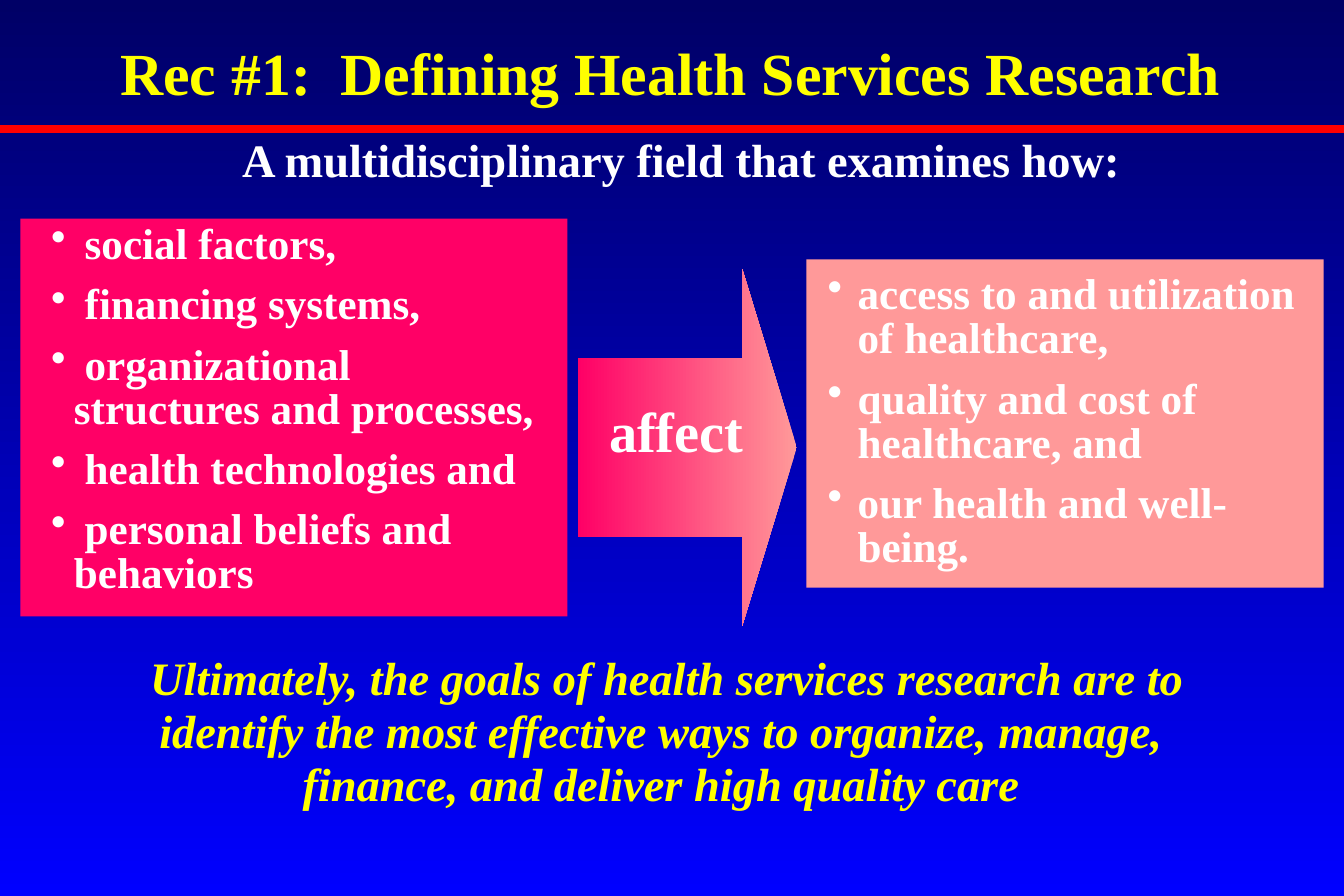
"""Build a slide that defines health services research."""
from dataclasses import dataclass

from lxml import etree
from pptx import Presentation
from pptx.dml.color import RGBColor
from pptx.enum.shapes import MSO_CONNECTOR, MSO_SHAPE
from pptx.enum.text import PP_ALIGN
from pptx.oxml.ns import qn
from pptx.util import Inches, Pt

RECT, ARROW = MSO_SHAPE.RECTANGLE, MSO_SHAPE.RIGHT_ARROW
LINE = MSO_CONNECTOR.STRAIGHT
LEFT, CENTER = PP_ALIGN.LEFT, PP_ALIGN.CENTER


@dataclass(frozen=True)
class Theme:
    font: str = "Times New Roman"
    navy: str = "000066"
    blue: str = "0000FF"
    pink: str = "FF0066"
    rose: str = "FF9999"
    red: str = "FF0000"
    white: str = "FFFFFF"
    yellow: str = "FFFF00"
    black: str = "000000"
    title: int = 36
    verb: int = 34
    body: int = 28
    item: int = 26


THEME = Theme()


@dataclass(frozen=True)
class Block:
    box: tuple[float, float, float, float]
    colors: tuple[str, ...]
    kind: int = RECT
    angle: int = 0


@dataclass(frozen=True)
class Label:
    box: tuple[float, float, float, float]
    lines: tuple[str, ...]
    size: int
    color: str = THEME.white
    align: int = CENTER
    pitch: float = 1.0
    gap: float = 0
    indent: float = 0
    italic: bool = False
    shadow: bool = True


BLOCKS = (
    Block((0.17, 1.83, 4.58, 3.33), (THEME.pink,)),
    Block((6.75, 2.17, 4.33, 2.75), (THEME.rose,)),
    Block((4.84, 2.25, 1.83, 2.99), (THEME.rose, THEME.pink), ARROW, 180),
)
LABELS = (
    Label((0.98, 1.08, 9.44, 0.58),
          ("A multidisciplinary field that examines how:",),
          THEME.body, pitch=0.95, shadow=False),
    Label((0.22, 0.25, 10.66, 0.7),
          (" Rec #1:  Defining Health Services Research",),
          THEME.title, THEME.yellow, shadow=False),
    Label((0.08, 5.42, 11, 1.43),
          ("Ultimately, the goals of health services research are to",
           "identify the most effective ways to organize, manage, ",
           "finance, and deliver high quality care "),
          THEME.body, THEME.yellow, pitch=0.95, italic=True),
    Label((6.83, 2.25, 4.25, 2.84),
          ("access to and utilization of healthcare,",
           "quality and cost of healthcare, and",
           "our health and well-being."),
          THEME.item, align=LEFT, pitch=0.85, gap=9.8, indent=0.25),
    Label((0.33, 1.83, 4.58, 3.22),
          (" social factors,",
           " financing systems,",
           " organizational\vstructures and processes,",
           " health technologies and",
           " personal beliefs and behaviors"),
          THEME.item, align=LEFT, pitch=0.85, gap=9.8, indent=0.19),
    Label((5, 3.33, 1.7, 0.61), ("affect",), THEME.verb,
          align=LEFT, pitch=0.9),
)


def rgb(code: str) -> RGBColor:
    """Turn a hex code into a colour."""
    return RGBColor.from_string(code)


def paint(fill, colors: tuple[str, ...], angle: int = 0) -> None:
    """Fill with one colour or a linear blend of two."""
    if len(colors) == 1:
        fill.solid()
        fill.fore_color.rgb = rgb(colors[0])
        return
    fill.gradient()
    fill.gradient_angle = angle
    for stop, code, place in zip(fill.gradient_stops, colors, (0, 1)):
        stop.color.rgb = rgb(code)
        stop.position = place


def draw_block(slide, block: Block) -> None:
    """Draw a filled shape with no outline."""
    shape = slide.shapes.add_shape(block.kind, *map(Inches, block.box))
    shape.shadow.inherit = False
    shape.line.fill.background()
    if block.kind == ARROW:
        shape.adjustments[0], shape.adjustments[1] = 0.5, 0.25
    paint(shape.fill, block.colors, block.angle)


def add_bullet(para, indent: float) -> None:
    """Give a paragraph a white hanging bullet."""
    props = para._p.get_or_add_pPr()
    props.set("marL", str(Inches(indent)))
    props.set("indent", str(-Inches(indent)))
    tint = etree.SubElement(props, qn("a:buClr"))
    etree.SubElement(tint, qn("a:srgbClr"), val=THEME.white)
    etree.SubElement(props, qn("a:buChar"), char="•")


def add_shade(run) -> None:
    """Put a small dark shadow behind a run."""
    fill = run._r.get_or_add_rPr().find(qn("a:solidFill"))
    effect = etree.Element(qn("a:effectLst"))
    shade = etree.SubElement(effect, qn("a:outerShdw"),
                             dist="38100", dir="2700000")
    etree.SubElement(shade, qn("a:srgbClr"), val=THEME.black)
    fill.addnext(effect)


def draw_label(slide, label: Label) -> None:
    """Draw a text box and format its runs."""
    frame = slide.shapes.add_textbox(*map(Inches, label.box)).text_frame
    frame.word_wrap = True
    frame.text = "\n".join(label.lines).replace("\v", "\v")
    for rank, (para, line) in enumerate(zip(frame.paragraphs, label.lines)):
        para.text = line
        if label.indent:
            add_bullet(para, label.indent)
        para.alignment = label.align
        para.line_spacing = label.pitch
        if rank:
            para.space_before = Pt(label.gap)
        for run in para.runs:
            font = run.font
            font.name, font.size = THEME.font, Pt(label.size)
            font.bold, font.italic = True, label.italic
            font.color.rgb = rgb(label.color)
            if label.shadow:
                add_shade(run)


def draw_rule(slide, top: float, width: float) -> None:
    """Draw the red rule under the title."""
    rule = slide.shapes.add_connector(
        LINE, 0, Inches(top), Inches(width), Inches(top))
    rule.line.color.rgb = rgb(THEME.red)
    rule.line.width = Pt(4.5)
    etree.SubElement(rule._element.spPr, qn("a:effectLst"))


def main() -> None:
    """Build and save the slide."""
    deck = Presentation()
    deck.slide_width, deck.slide_height = Inches(11.25), Inches(7.5)
    slide = deck.slides.add_slide(deck.slide_layouts[6])
    paint(slide.background.fill, (THEME.navy, THEME.blue), 270)
    for block in BLOCKS:
        draw_block(slide, block)
    for label in LABELS:
        draw_label(slide, label)
    draw_rule(slide, 1.08, 11.25)
    deck.save("out.pptx")


if __name__ == "__main__":
    main()
